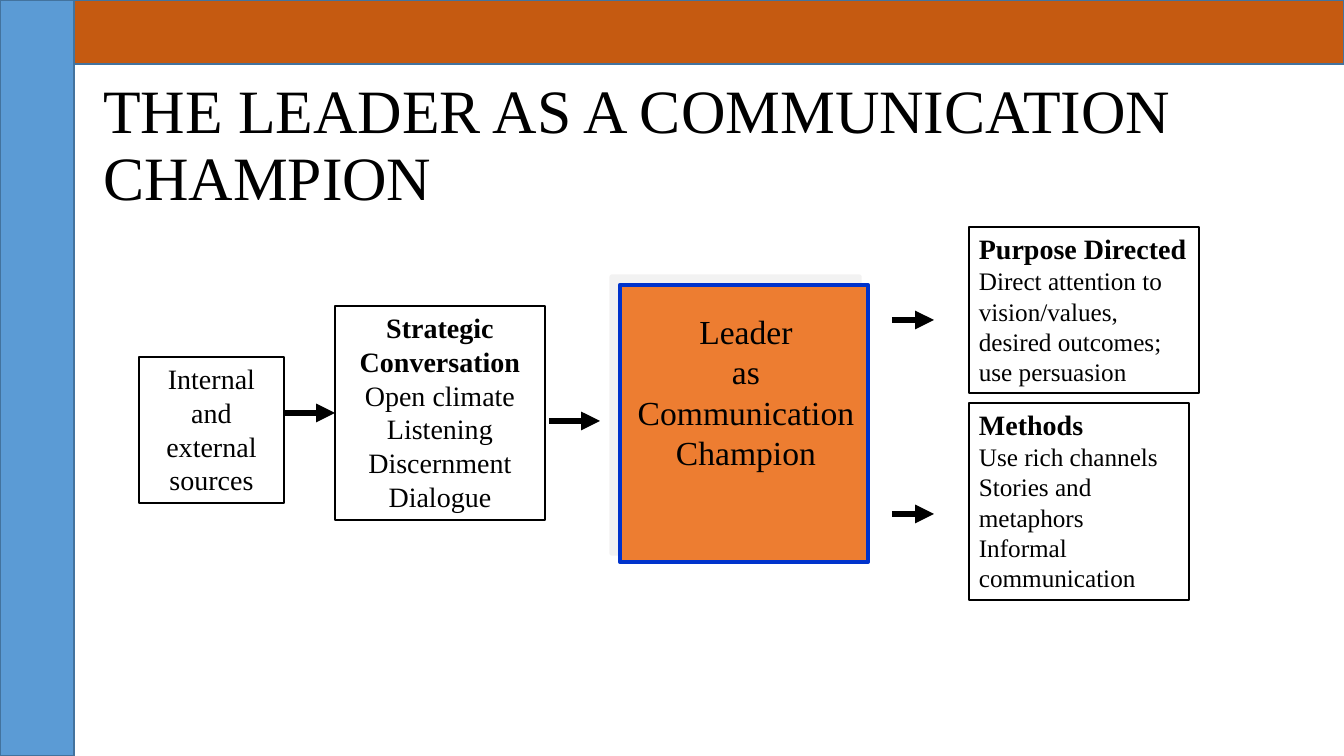
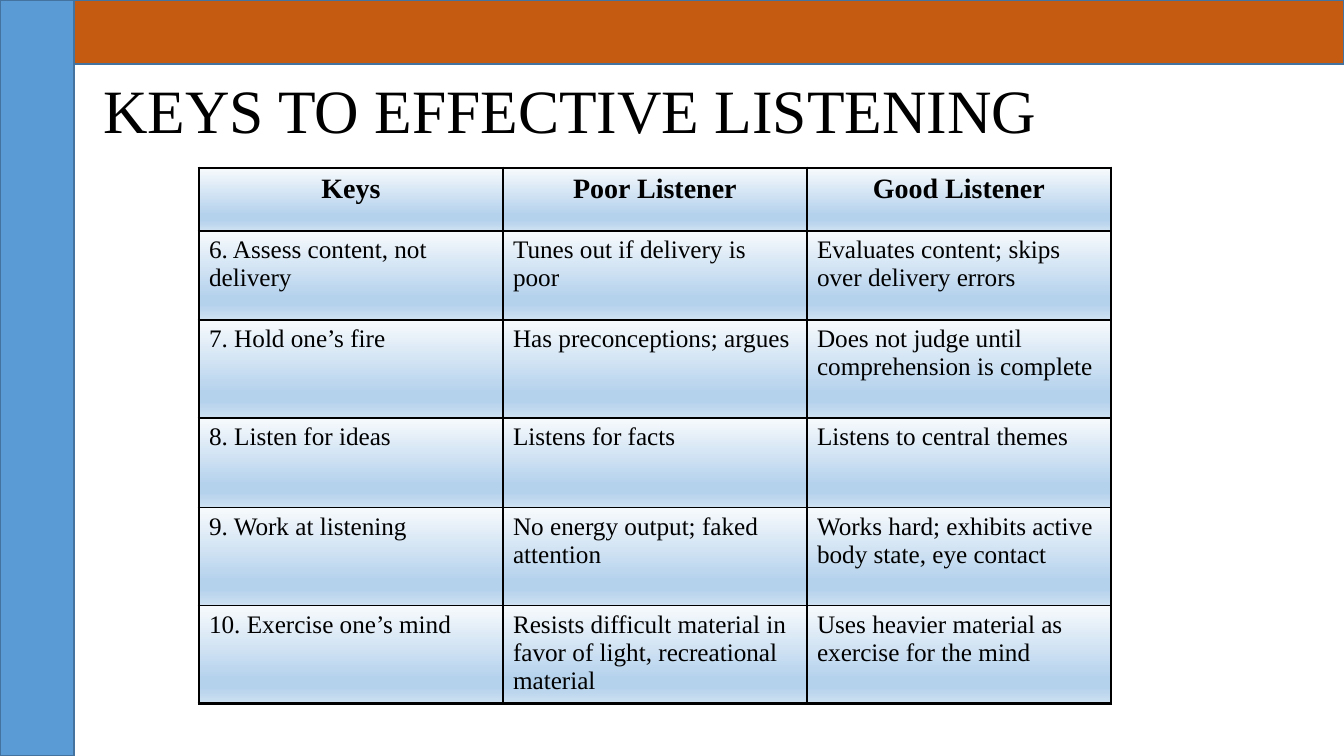
from typing import NamedTuple

import pptx
import pptx.dml.color
import pptx.enum.shapes
import pptx.enum.text
import pptx.oxml
import pptx.oxml.ns
import pptx.util

RGB = pptx.dml.color.RGBColor
Pt = pptx.util.Pt
ALIGN = pptx.enum.text.PP_ALIGN
ANCHOR = pptx.enum.text.MSO_ANCHOR
RECT = pptx.enum.shapes.MSO_SHAPE.RECTANGLE
LINE = pptx.enum.shapes.MSO_CONNECTOR.STRAIGHT

WIDE, HIGH = 1344, 756
SIDE, TOP = 74, 64
FONT = "Times New Roman"
BLACK = RGB(0x00, 0x00, 0x00)
BLUE = RGB(0x5B, 0x9B, 0xD5)
NAVY = RGB(0x43, 0x73, 0x9E)
RUST = RGB(0xC5, 0x5A, 0x11)
ORANGE = RGB(0xED, 0x7D, 0x31)
ROYAL = RGB(0x00, 0x33, 0xCC)
GREY = RGB(0xE7, 0xE6, 0xE6)
FADE = [
    (0, RGB(0xF7, 0xFA, 0xFD)),
    (74, RGB(0xB5, 0xD2, 0xEC)),
    (83, RGB(0xB5, 0xD2, 0xEC)),
    (100, RGB(0xCE, 0xE1, 0xF2)),
]


class Area(NamedTuple):
    x: int
    y: int
    w: int
    h: int


class Para(NamedTuple):
    text: str
    size: int = 20
    bold: bool = False


class Node(NamedTuple):
    area: Area
    paras: list[Para]
    align: ALIGN


class Arrow(NamedTuple):
    x: int
    y: int
    end: int


SOURCE = Node(Area(139, 357, 145, 146), [Para("Internal and external sources")], ALIGN.CENTER)
TALK = Node(
    Area(335, 306, 210, 214),
    [
        Para("Strategic Conversation", bold=True),
        Para("Open climate"),
        Para("Listening"),
        Para("Discernment"),
        Para("Dialogue"),
    ],
    ALIGN.CENTER,
)
GOAL = Node(
    Area(969, 227, 230, 166),
    [
        Para("Purpose Directed", bold=True),
        Para("Direct attention to vision/values, desired outcomes; use persuasion", 18),
    ],
    ALIGN.LEFT,
)
MEANS = Node(
    Area(969, 403, 220, 197),
    [
        Para("Methods", bold=True),
        Para("Use rich channels", 18),
        Para("Stories and metaphors", 18),
        Para("Informal communication", 18),
    ],
    ALIGN.LEFT,
)
LEADER = [Para("Leader", 24), Para("as Communication Champion", 24)]
ARROWS = [Arrow(549, 421, 600), Arrow(892, 320, 934), Arrow(892, 514, 934)]

ROWS = [
    ("Keys", "Poor Listener", "Good Listener"),
    ("6. Assess content, not delivery", "Tunes out if delivery is poor",
     "Evaluates content; skips over delivery errors"),
    ("7. Hold one’s fire", "Has preconceptions; argues",
     "Does not judge until comprehension is complete"),
    ("8. Listen for ideas", "Listens for facts", "Listens to central themes"),
    ("9. Work at listening", "No energy output; faked attention",
     "Works hard; exhibits active body state, eye contact"),
    ("10. Exercise one’s mind",
     "Resists difficult material in favor of light, recreational material",
     "Uses heavier material as exercise for the mind"),
]
TALL = [63, 89, 98, 90, 98, 98]


def px(num: int) -> int:
    return round(num * 12192000 / WIDE)


def emu(area: Area) -> list[int]:
    return [px(num) for num in area]


def xml(tag: str, attrs: str, inner: str = ""):
    """Build one DrawingML element."""
    space = pptx.oxml.ns.nsdecls("a")
    return pptx.oxml.parse_xml(f"<a:{tag} {space} {attrs}>{inner}</a:{tag}>")


def tint(color: RGB, inner: str = "") -> str:
    return f'<a:srgbClr val="{color}">{inner}</a:srgbClr>'


def add_run(para, item: Para) -> None:
    run = para.add_run()
    run.text = item.text
    run.font.name = FONT
    run.font.size = Pt(item.size)
    run.font.bold = item.bold
    run.font.color.rgb = BLACK


def write(frame, paras: list[Para], align: ALIGN) -> None:
    """Fill a text frame, with lines 1.2 times the type size."""
    frame.word_wrap = True
    frame.vertical_anchor = ANCHOR.TOP
    for num, item in enumerate(paras):
        para = frame.add_paragraph() if num else frame.paragraphs[0]
        para.alignment = align
        para.line_spacing = Pt(item.size * 1.2)
        add_run(para, item)


def add_rect(slide, area: Area, fill: RGB | None, edge: RGB, width: float):
    shape = slide.shapes.add_shape(RECT, *emu(area))
    shape.shadow.inherit = False
    if fill is None:
        shape.fill.background()
    else:
        shape.fill.solid()
        shape.fill.fore_color.rgb = fill
    shape.line.color.rgb = edge
    shape.line.width = Pt(width)
    return shape


def add_node(slide, node: Node):
    shape = add_rect(slide, node.area, None, BLACK, 1.75)
    write(shape.text_frame, node.paras, node.align)
    return shape


def add_arrow(slide, arrow: Arrow):
    y = px(arrow.y)
    line = slide.shapes.add_connector(LINE, px(arrow.x), y, px(arrow.end), y)
    line.line.color.rgb = BLACK
    line.line.width = Pt(4.5)
    props = line._element.spPr
    props.find(pptx.oxml.ns.qn("a:ln")).append(xml("tailEnd", 'type="triangle"'))
    props.append(xml("effectLst", ""))
    return line


def add_slide(deck, text: str, area: Area):
    """Add a slide with its title and the two bands."""
    slide = deck.slides.add_slide(deck.slide_layouts[5])
    title = slide.shapes.title
    title.left, title.top, title.width, title.height = emu(area)
    frame = title.text_frame
    frame.word_wrap = True
    frame.auto_size = pptx.enum.text.MSO_AUTO_SIZE.NONE
    frame.vertical_anchor = ANCHOR.MIDDLE
    para = frame.paragraphs[0]
    para.alignment = ALIGN.LEFT
    para.line_spacing = Pt(47.5)
    add_run(para, Para(text, 44))
    add_rect(slide, Area(0, 0, SIDE, HIGH), BLUE, NAVY, 1)
    add_rect(slide, Area(SIDE, 0, WIDE - SIDE, TOP), RUST, NAVY, 1)
    return slide


def add_flow(slide) -> None:
    core = add_rect(slide, Area(620, 285, 248, 277), ORANGE, ROYAL, 3)
    shade = tint(GREY, '<a:alpha val="50000"/>')
    core._element.spPr.find(pptx.oxml.ns.qn("a:effectLst")).append(
        xml("outerShdw", f'dist="{Pt(8.5)}" dir="13500000" algn="ctr" rotWithShape="0"', shade)
    )
    add_node(slide, SOURCE)
    talk = add_node(slide, TALK)
    for node in (GOAL, MEANS):
        add_node(slide, node)
    label = slide.shapes.add_textbox(*emu(Area(620, 306, 252, 173)))
    write(label.text_frame, LEADER, ALIGN.CENTER)
    add_arrow(slide, Arrow(284, 413, 335)).end_connect(talk, 1)
    for arrow in ARROWS:
        add_arrow(slide, arrow)


def style_cell(cell, outer: dict[str, bool]) -> None:
    """Give a cell its borders, thick on the outer sides, and its gradient."""
    props = cell._tc.get_or_add_tcPr()
    for side, thick in outer.items():
        width = Pt(2.25 if thick else 1)
        ink = f"<a:solidFill>{tint(BLACK)}</a:solidFill>"
        props.append(xml(f"ln{side}", f'w="{width}"', ink))
    stops = "".join(f'<a:gs pos="{pos * 1000}">{tint(color)}</a:gs>' for pos, color in FADE)
    inner = f'<a:gsLst>{stops}</a:gsLst><a:lin ang="5400000" scaled="0"/>'
    props.append(xml("gradFill", 'rotWithShape="1"', inner))


def add_grid(slide) -> None:
    area = Area(199, 168, 912, sum(TALL))
    table = slide.shapes.add_table(len(ROWS), len(ROWS[0]), *emu(area)).table
    table.first_row = table.horz_banding = False
    for col in table.columns:
        col.width = px(area.w // len(ROWS[0]))
    for r, (texts, tall) in enumerate(zip(ROWS, TALL)):
        table.rows[r].height = px(tall)
        for c, text in enumerate(texts):
            cell = table.cell(r, c)
            para = cell.text_frame.paragraphs[0]
            para.alignment = ALIGN.LEFT if r else ALIGN.CENTER
            add_run(para, Para(text, 18) if r else Para(text, bold=True))
            style_cell(cell, {
                "L": c == 0,
                "R": c == len(texts) - 1,
                "T": r == 0,
                "B": r == len(ROWS) - 1,
            })


def main() -> None:
    deck = pptx.Presentation()
    deck.slide_width, deck.slide_height = px(WIDE), px(HIGH)
    add_flow(add_slide(deck, "THE LEADER AS A COMMUNICATION CHAMPION", Area(93, 73, 1251, 146)))
    add_grid(add_slide(deck, "KEYS TO EFFECTIVE LISTENING", Area(93, 40, 1159, 146)))
    deck.save("out.pptx")


if __name__ == "__main__":
    main()
